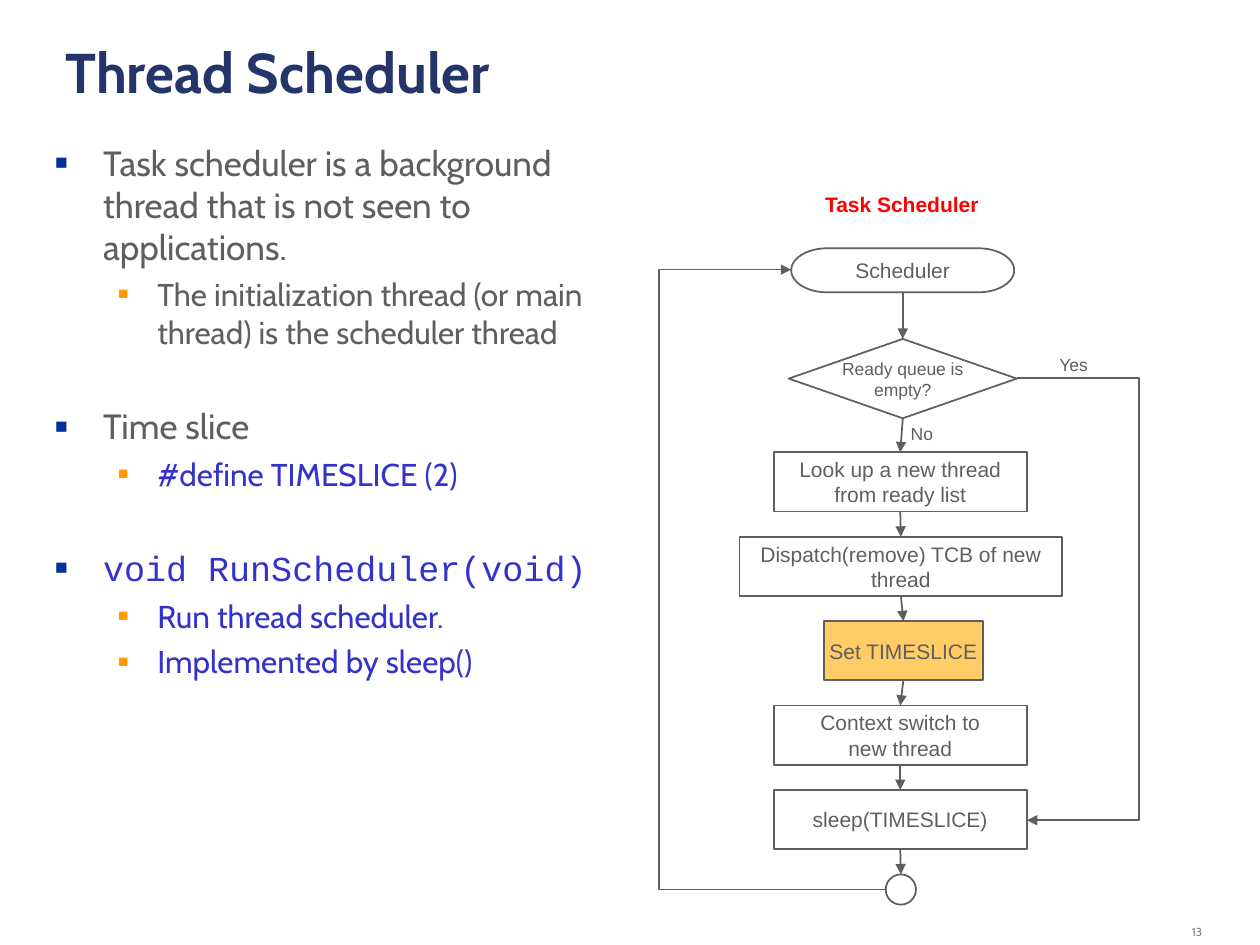
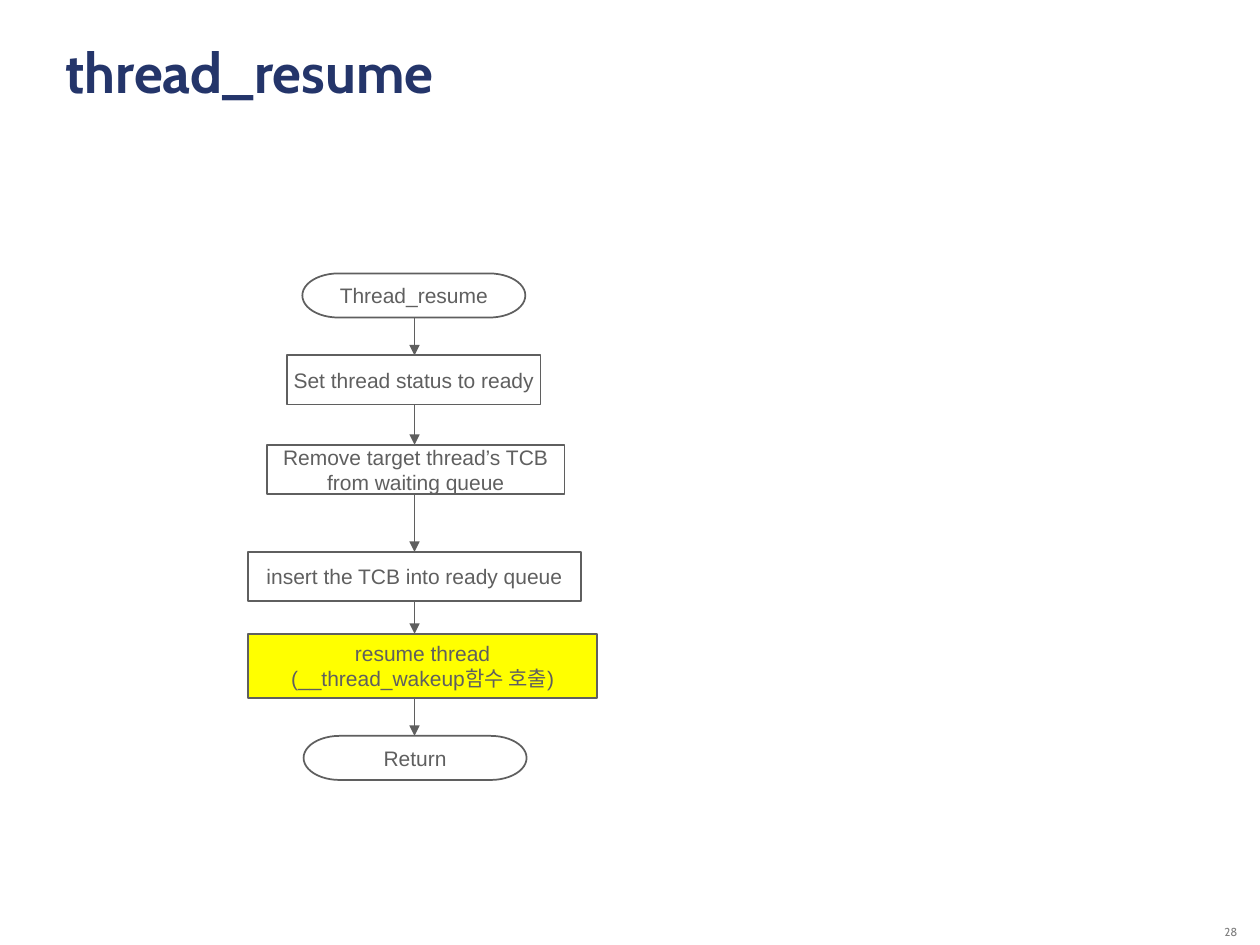
from lxml.etree import SubElement
from pptx import Presentation
from pptx.dml.color import RGBColor
from pptx.enum.shapes import MSO_CONNECTOR as LINK, MSO_SHAPE as SHAPE
from pptx.enum.text import MSO_ANCHOR as ANCHOR, PP_ALIGN as ALIGN
from pptx.oxml.ns import qn
from pptx.util import Pt

PX = 9144
COLORS = {
    "white": "FFFFFF", "ink": "5F5F5F", "title": "24356A", "number": "808080",
    "red": "FF0000", "code": "3333CC", "amber": "FFCC66", "yellow": "FFFF00",
    "bullet": "003399", "sub_bullet": "FF9900",
}
LEVELS = [
    {"margin": 38, "hang": 38, "mark": "bullet", "percent": 60, "size": 20, "before": 31},
    {"margin": 81, "hang": 31, "mark": "sub_bullet", "percent": 55, "size": 18, "before": 4.5},
]


class Slides:
    """Draws titles, lists and flowcharts in one shared style."""

    def __init__(self):
        self.deck = Presentation()
        self.deck.slide_width, self.deck.slide_height = 1000 * PX, 750 * PX
        self.page = None

    def color(self, name):
        return RGBColor.from_string(COLORS[name])

    def font(self, para, size, color="ink", face="Arial", bold=False):
        font = para.font
        font.size, font.name, font.bold = Pt(size), face, bold
        font.color.rgb = self.color(color)

    def frame(self, area, wrap):
        box = self.page.shapes.add_textbox(*(n * PX for n in area))
        box.text_frame.word_wrap = wrap
        return box.text_frame

    def text(self, area, words, size, wrap=False, **style):
        frame = self.frame(area, wrap)
        para = frame.paragraphs[0]
        para.text = words
        self.font(para, size, **style)
        return frame

    def start(self, title, number, number_left):
        self.page = self.deck.slides.add_slide(self.deck.slide_layouts[6])
        self.text((42, 25, 903, 122), title, 32, True, color="title", face="Cabin", bold=True)
        frame = self.text((number_left, 725, 100, 25), number, 6.6, True,
                          color="number", face="Cabin")
        frame.vertical_anchor = ANCHOR.BOTTOM
        frame.paragraphs[0].alignment = ALIGN.RIGHT
        frame.paragraphs[0].line_spacing = 0.8

    def bullet(self, para, level):
        para.level = level
        look = LEVELS[level]
        props = para._p.get_or_add_pPr()
        props.set("marL", str(look["margin"] * PX))
        props.set("indent", str(-look["hang"] * PX))
        SubElement(SubElement(props, qn("a:buClr")), qn("a:srgbClr"), val=COLORS[look["mark"]])
        SubElement(props, qn("a:buSzPct"), val=str(look["percent"] * 1000))
        SubElement(props, qn("a:buFont"), typeface="Arial")
        SubElement(props, qn("a:buChar"), char="■")

    def bullets(self, area, items):
        frame = self.frame(area, True)
        for index, (level, words, color, face) in enumerate(items):
            para = frame.add_paragraph() if index else frame.paragraphs[0]
            para.text = words
            self.bullet(para, level)
            if index:
                para.space_before = Pt(LEVELS[level]["before"])
            self.font(para, LEVELS[level]["size"], color, face)

    def step(self, kind, area, words="", fill="white", size=12):
        shape = self.page.shapes.add_shape(kind, *(n * PX for n in area))
        shape.shadow.inherit = False
        shape.fill.solid()
        shape.fill.fore_color.rgb = self.color(fill)
        shape.line.color.rgb = self.color("ink")
        shape.line.width = Pt(1)
        frame = shape.text_frame
        frame.word_wrap = False
        frame.vertical_anchor = ANCHOR.MIDDLE
        frame.text = words
        for para in frame.paragraphs:
            para.alignment = ALIGN.CENTER
            self.font(para, size)

    def arrow(self, start, end, via=None):
        kind = LINK.STRAIGHT if via is None else LINK.ELBOW
        link = self.page.shapes.add_connector(kind, *(round(n * PX) for n in (*start, *end)))
        link.line.color.rgb = self.color("ink")
        link.line.width = Pt(1)
        props = link.element.spPr
        SubElement(props.find(qn("a:ln")), qn("a:tailEnd"), type="triangle")
        SubElement(props, qn("a:effectLst"))
        if via is not None:
            bend = round(100000 * (via - start[0]) / (end[0] - start[0]))
            guides = props.find(qn("a:prstGeom")).get_or_add_avLst()
            SubElement(guides, qn("a:gd"), name="adj1", fmla=f"val {bend}")

    def flow(self, steps, axis=None):
        for step in steps:
            self.step(*step)
        areas = [step[1] for step in steps]
        for (left, top, width, height), (next_left, next_top, next_width, _) in zip(areas, areas[1:]):
            self.arrow((axis or left + width / 2, top + height),
                       (axis or next_left + next_width / 2, next_top))


def scheduler(slides):
    slides.start("Thread Scheduler", "13", 864)
    slides.bullets((34, 107, 494, 567), [
        (0, "Task scheduler is a background thread that is not seen to applications.", "ink", "Cabin"),
        (1, "The initialization thread (or main thread) is the scheduler thread", "ink", "Cabin"),
        (0, "Time slice", "ink", "Cabin"),
        (1, "#define TIMESLICE (2)", "code", "Cabin"),
        (0, "void RunScheduler(void)", "code", "Courier New"),
        (1, "Run thread scheduler.", "code", "Cabin"),
        (1, "Implemented by sleep()", "code", "Cabin"),
    ])
    slides.text((645, 147, 143, 30), "Task Scheduler", 12, color="red", bold=True)
    slides.flow([
        (SHAPE.FLOWCHART_TERMINATOR, (628, 197, 177, 35), "Scheduler"),
        (SHAPE.FLOWCHART_DECISION, (626, 269, 181, 63), "Ready queue is\nempty?", "white", 10),
        (SHAPE.RECTANGLE, (614, 359, 201, 47), "Look up a new thread\nfrom ready list"),
        (SHAPE.RECTANGLE, (587, 426, 256, 47), "Dispatch(remove) TCB of new\nthread"),
        (SHAPE.RECTANGLE, (654, 493, 126, 47), "Set TIMESLICE", "amber"),
        (SHAPE.RECTANGLE, (614, 560, 201, 47), "Context switch to\nnew thread"),
        (SHAPE.RECTANGLE, (614, 627, 201, 47), "sleep(TIMESLICE)"),
        (SHAPE.OVAL, (703, 694, 24, 24)),
    ])
    slides.arrow((807, 300), (815, 651), via=904)
    slides.arrow((703, 706), (628, 214), via=523)
    slides.text((831, 276, 46, 27), "Yes", 10)
    slides.text((713, 331, 40, 27), "No", 10)


def resume(slides):
    slides.start("thread_resume", "28", 892)
    slides.flow([
        (SHAPE.FLOWCHART_TERMINATOR, (240, 217, 177, 35), "Thread_resume"),
        (SHAPE.RECTANGLE, (228, 282, 201, 39), "Set thread status to ready"),
        (SHAPE.RECTANGLE, (212, 353, 236, 39), "Remove target thread’s TCB\nfrom waiting queue"),
        (SHAPE.RECTANGLE, (197, 438, 264, 39), "insert the TCB into ready queue"),
        (SHAPE.RECTANGLE, (197, 503, 277, 51), "resume thread\n(__thread_wakeup함수 호출)", "yellow"),
        (SHAPE.FLOWCHART_TERMINATOR, (241, 584, 177, 35), "Return"),
    ], axis=329)


def main():
    slides = Slides()
    scheduler(slides)
    resume(slides)
    slides.deck.save("out.pptx")


if __name__ == "__main__":
    main()
